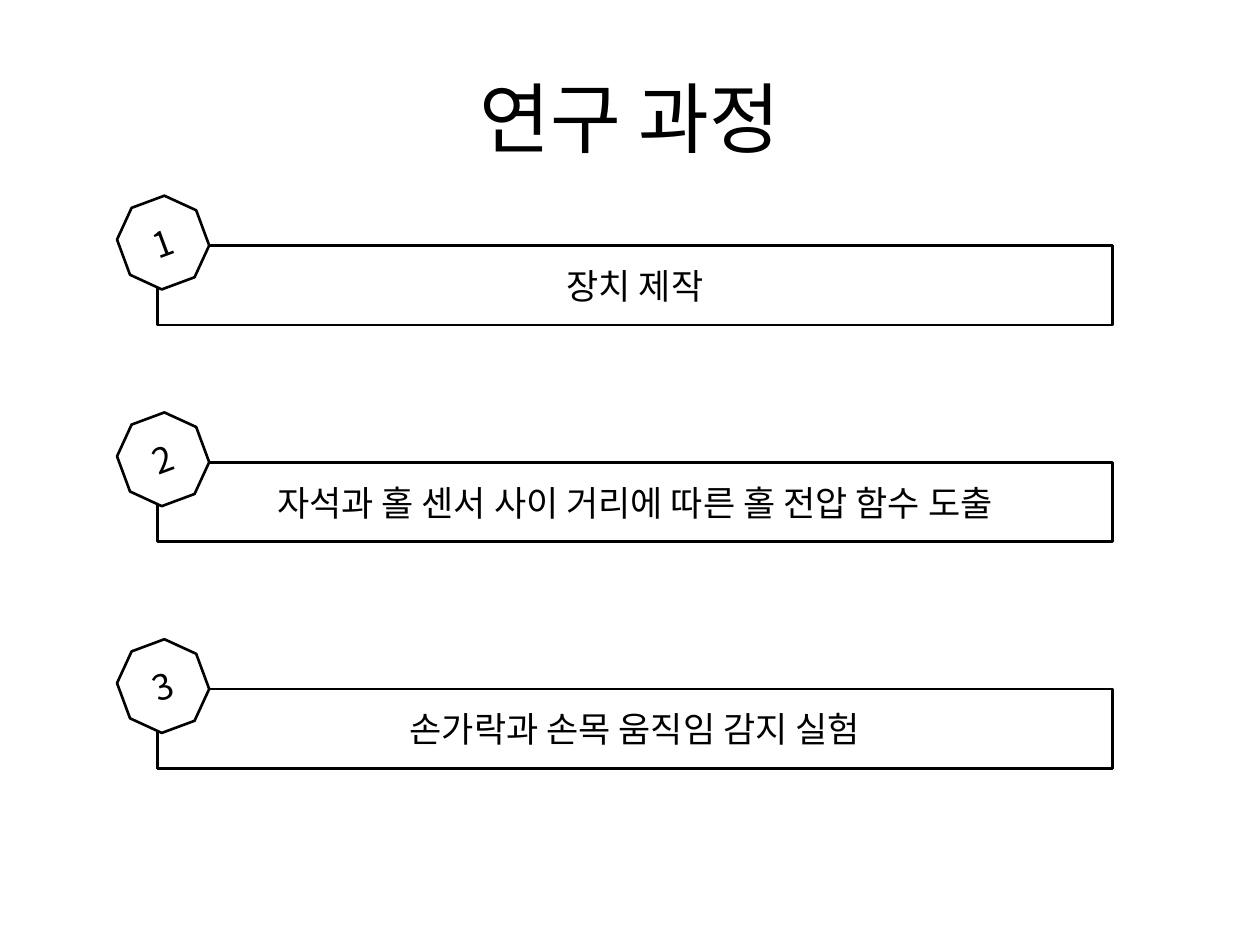
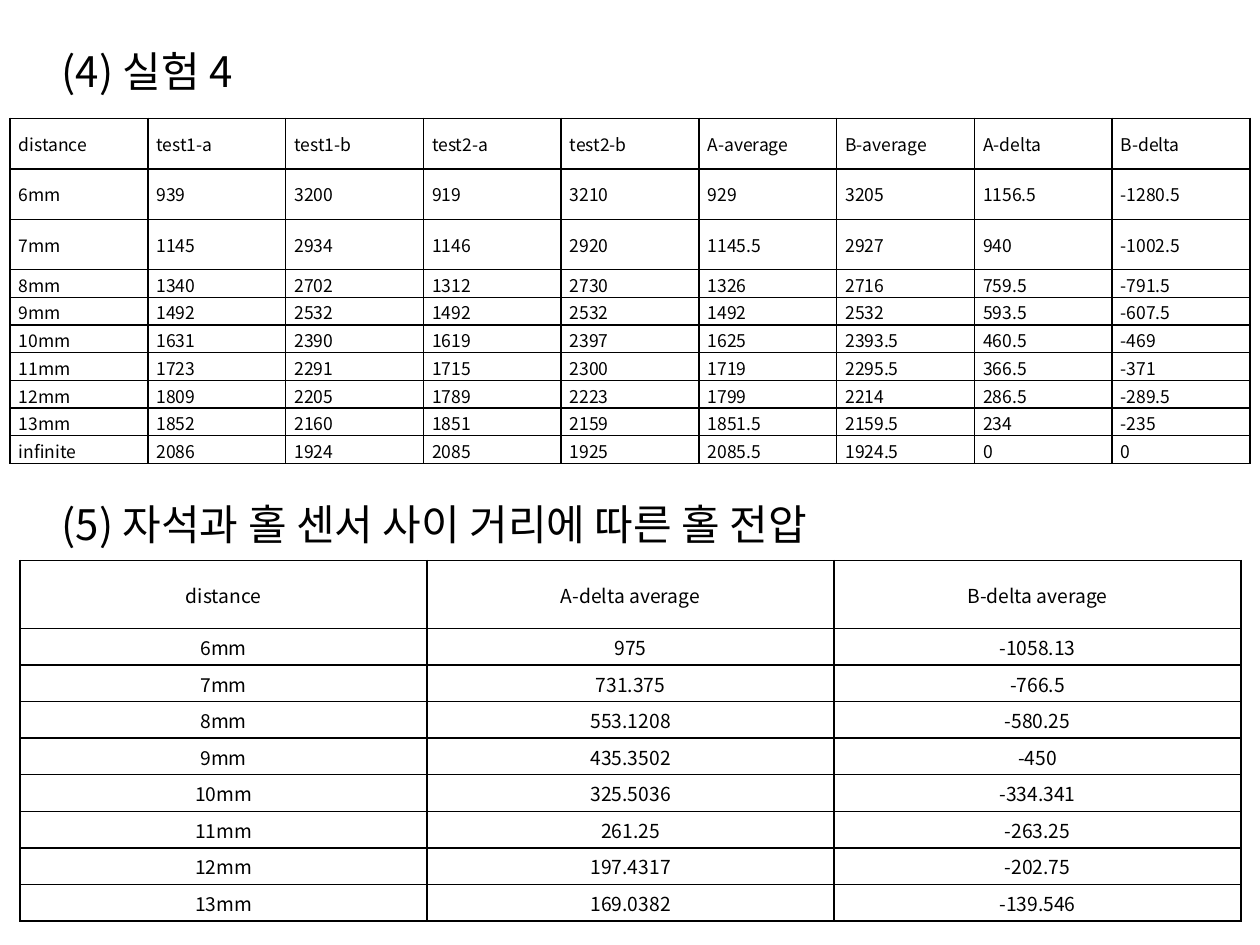
from dataclasses import dataclass

from lxml import etree
from pptx import Presentation
from pptx.dml.color import RGBColor
from pptx.enum.shapes import MSO_SHAPE
from pptx.enum.text import MSO_ANCHOR, MSO_AUTO_SIZE, PP_ALIGN
from pptx.oxml.ns import qn
from pptx.util import Inches, Pt

RECTANGLE, OCTAGON = MSO_SHAPE.RECTANGLE, MSO_SHAPE.OCTAGON
LEFT, CENTER, JUSTIFY = PP_ALIGN.LEFT, PP_ALIGN.CENTER, PP_ALIGN.JUSTIFY
MIDDLE = MSO_ANCHOR.MIDDLE
GROW = MSO_AUTO_SIZE.SHAPE_TO_FIT_TEXT
TITLE_ONLY, BLANK = 5, 6


@dataclass(frozen=True)
class Theme:
    font: str = "Noto Sans CJK KR"
    ink: RGBColor = RGBColor(0, 0, 0)
    paper: RGBColor = RGBColor(255, 255, 255)
    title_size: int = 44
    heading_size: int = 24
    step_size: int = 20
    test_size: int = 10
    average_size: int = 11
    outline: float = 1.5
    border: float = 1


THEME = Theme()

STEPS = [
    (1.95, "장치 제작"),
    (3.67, "자석과 홀 센서 사이 거리에 따른 홀 전압 함수 도출"),
    (5.47, "손가락과 손목 움직임 감지 실험"),
]

TEST_ROWS = [
    ("distance", "test1-a", "test1-b", "test2-a", "test2-b",
     "A-average", "B-average", "A-delta", "B-delta"),
    ("6mm", 939, 3200, 919, 3210, 929, 3205, 1156.5, -1280.5),
    ("7mm", 1145, 2934, 1146, 2920, 1145.5, 2927, 940, -1002.5),
    ("8mm", 1340, 2702, 1312, 2730, 1326, 2716, 759.5, -791.5),
    ("9mm", 1492, 2532, 1492, 2532, 1492, 2532, 593.5, -607.5),
    ("10mm", 1631, 2390, 1619, 2397, 1625, 2393.5, 460.5, -469),
    ("11mm", 1723, 2291, 1715, 2300, 1719, 2295.5, 366.5, -371),
    ("12mm", 1809, 2205, 1789, 2223, 1799, 2214, 286.5, -289.5),
    ("13mm", 1852, 2160, 1851, 2159, 1851.5, 2159.5, 234, -235),
    ("infinite", 2086, 1924, 2085, 1925, 2085.5, 1924.5, 0, 0),
]

AVERAGE_ROWS = [
    ("distance", "A-delta average", "B-delta average"),
    ("6mm", 975, -1058.13),
    ("7mm", 731.375, -766.5),
    ("8mm", 553.1208, -580.25),
    ("9mm", 435.3502, -450),
    ("10mm", 325.5036, -334.341),
    ("11mm", 261.25, -263.25),
    ("12mm", 197.4317, -202.75),
    ("13mm", 169.0382, -139.546),
]


def write(frame, text, size, align):
    """Put one styled paragraph into a text frame."""
    frame.text = text
    paragraph = frame.paragraphs[0]
    paragraph.alignment = align
    font = paragraph.font
    font.size = Pt(size)
    font.color.rgb = THEME.ink
    font.name = THEME.font
    # Korean glyphs take the East Asian typeface
    properties = paragraph._p.pPr.find(qn("a:defRPr"))
    etree.SubElement(properties, qn("a:ea"), typeface=THEME.font)


def add_outlined(slide, preset, box, text):
    shape = slide.shapes.add_shape(preset, *map(Inches, box))
    shape.shadow.inherit = False
    shape.fill.solid()
    shape.fill.fore_color.rgb = THEME.paper
    shape.line.color.rgb = THEME.ink
    shape.line.width = Pt(THEME.outline)
    shape.text_frame.vertical_anchor = MIDDLE
    write(shape.text_frame, text, THEME.step_size, CENTER)
    return shape


def add_step(slide, number, text, left, top):
    """A bar with a tilted number badge over its top left corner."""
    add_outlined(slide, RECTANGLE, (left, top, 7.58, 0.63), text)
    badge = add_outlined(slide, OCTAGON,
                         (left - 0.29, top - 0.37, 0.67, 0.69), str(number))
    badge.rotation = 339.7


def add_heading(slide, text, top):
    heading = slide.shapes.add_textbox(
        Inches(0.39), Inches(top), Inches(8.52), Inches(0.5))
    frame = heading.text_frame
    frame.word_wrap = True
    frame.auto_size = GROW
    write(frame, text, THEME.heading_size, LEFT)


def draw_borders(cell):
    properties = cell._tc.get_or_add_tcPr()
    for side in ("lnL", "lnR", "lnT", "lnB"):
        line = etree.SubElement(properties, qn(f"a:{side}"),
                                w=str(Pt(THEME.border)))
        fill = etree.SubElement(line, qn("a:solidFill"))
        etree.SubElement(fill, qn("a:srgbClr"), val=str(THEME.ink))


def add_data_table(slide, rows, box, row_heights, size, align):
    table = slide.shapes.add_table(
        len(rows), len(rows[0]), *map(Inches, box)).table
    table.first_row = False
    table.horz_banding = False
    for row, height in zip(table.rows, row_heights):
        row.height = Inches(height)
    for row, values in zip(table.rows, rows):
        for cell, value in zip(row.cells, values):
            draw_borders(cell)
            cell.fill.solid()
            cell.fill.fore_color.rgb = THEME.paper
            cell.vertical_anchor = MIDDLE
            cell.margin_left = cell.margin_right = Inches(0.07)
            cell.margin_top = cell.margin_bottom = Inches(0.02)
            write(cell.text_frame, str(value), size, align)


def build_process_slide(deck):
    slide = deck.slides.add_slide(deck.slide_layouts[TITLE_ONLY])
    # Title
    title = slide.shapes.title
    title.left, title.top = Inches(0.5), Inches(0.3)
    title.width, title.height = Inches(9), Inches(1.25)
    title.text_frame.vertical_anchor = MIDDLE
    write(title.text_frame, "연구 과정", THEME.title_size, CENTER)
    # Numbered steps
    for number, (top, text) in enumerate(STEPS, start=1):
        add_step(slide, number, text, 1.25, top)


def build_results_slide(deck):
    slide = deck.slides.add_slide(deck.slide_layouts[BLANK])
    # Fourth experiment
    add_heading(slide, "(4) 실험 4", 0.31)
    add_data_table(slide, TEST_ROWS, (0.08, 0.94, 9.84, 2.76),
                   [0.4] * 3 + [0.22] * 7, THEME.test_size, JUSTIFY)
    # Averages by distance
    add_heading(slide, "(5) 자석과 홀 센서 사이 거리에 따른 홀 전압", 3.91)
    add_data_table(slide, AVERAGE_ROWS, (0.16, 4.45, 9.69, 2.89),
                   [0.54] + [0.29] * 8, THEME.average_size, CENTER)


def main():
    deck = Presentation()
    deck.slide_width, deck.slide_height = Inches(10), Inches(7.5)
    build_process_slide(deck)
    build_results_slide(deck)
    deck.save("out.pptx")


if __name__ == "__main__":
    main()
